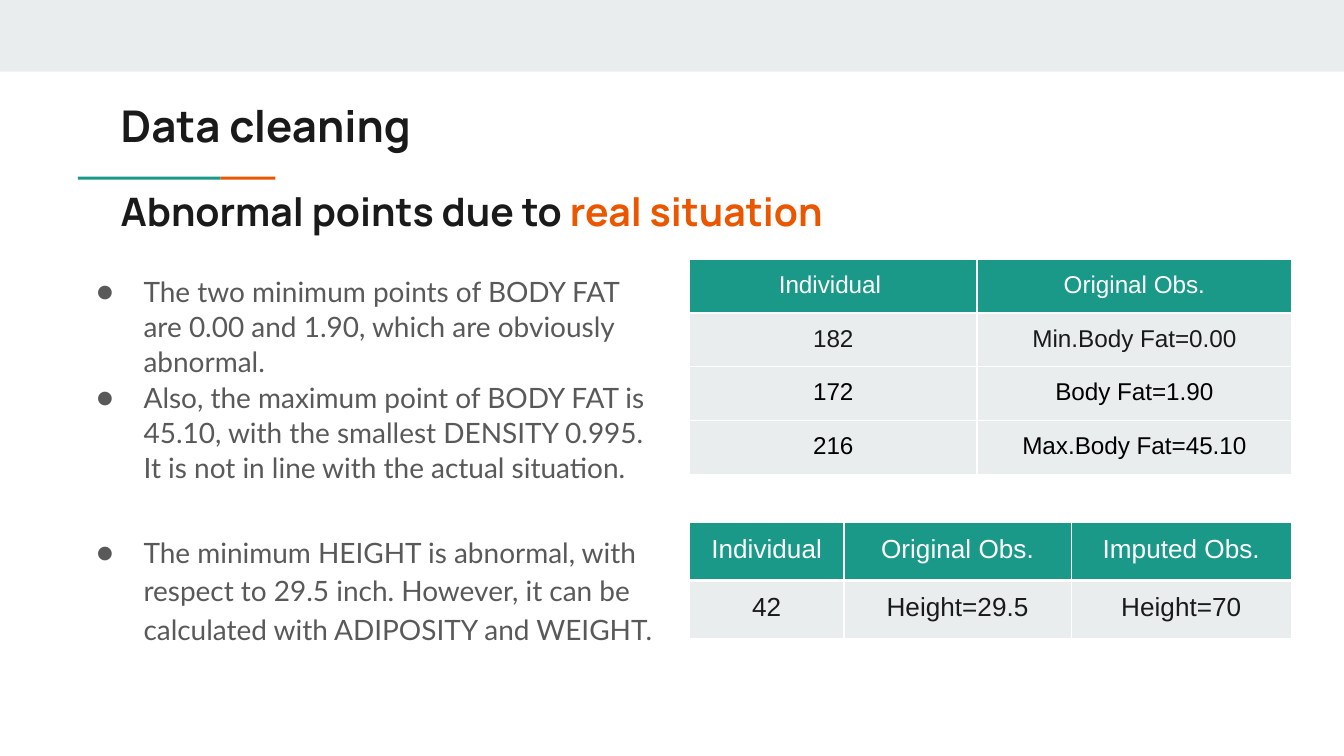
from lxml import etree
from pptx import Presentation
from pptx.dml.color import RGBColor
from pptx.enum.shapes import MSO_SHAPE
from pptx.enum.text import PP_ALIGN
from pptx.oxml.ns import qn
from pptx.util import Inches, Pt

RECTANGLE = MSO_SHAPE.RECTANGLE
CENTER = PP_ALIGN.CENTER
TEAL, ORANGE, MIST = "1A9988", "EB5600", "E9EDEE"
INK, GRAY, BLACK, WHITE = "1A1A1A", "595959", "000000", "FFFFFF"
HEADING_FONT, BODY_FONT, TABLE_FONT = "Manrope", "Lato", "Arial"
UNIT = 0.1


def color(value):
    return RGBColor.from_string(value)


def grid(*units):
    return [Inches(unit * UNIT) for unit in units]


class SlideBuilder:
    """Draws styled elements on a slide divided into 100 columns of a tenth of an inch."""

    def __init__(self, slide):
        self.slide = slide

    def bar(self, left, top, width, height, fill):
        shape = self.slide.shapes.add_shape(RECTANGLE, *grid(left, top, width, height))
        shape.shadow.inherit = False
        shape.fill.solid()
        shape.fill.fore_color.rgb = color(fill)
        shape.line.fill.background()

    def run(self, paragraph, text, font, size, ink, bold=False):
        run = paragraph.add_run()
        run.text = text
        run.font.name = font
        run.font.size = Pt(size)
        run.font.bold = bold
        run.font.color.rgb = color(ink)

    def frame(self, left, top, width, height):
        box = self.slide.shapes.add_textbox(*grid(left, top, width, height))
        frame = box.text_frame
        frame.word_wrap = True
        frame.margin_left = frame.margin_right = Inches(UNIT)
        frame.margin_top = frame.margin_bottom = Inches(UNIT)
        return frame

    def heading(self, left, top, width, height, size, parts):
        paragraph = self.frame(left, top, width, height).paragraphs[0]
        for text, ink in parts:
            self.run(paragraph, text, HEADING_FONT, size, ink, True)

    def bullets(self, left, top, width, height, spacing, items):
        frame = self.frame(left, top, width, height)
        for index, text in enumerate(items):
            paragraph = frame.add_paragraph() if index else frame.paragraphs[0]
            properties = paragraph._p.get_or_add_pPr()
            properties.set("marL", str(Inches(0.5)))
            properties.set("indent", str(Inches(-0.35)))
            paragraph.line_spacing = spacing
            bullet_color = etree.SubElement(properties, qn("a:buClr"))
            etree.SubElement(bullet_color, qn("a:srgbClr"), val=GRAY)
            etree.SubElement(properties, qn("a:buSzPts"), val="1500")
            etree.SubElement(properties, qn("a:buFont"), typeface=BODY_FONT)
            etree.SubElement(properties, qn("a:buChar"), char="●")
            self.run(paragraph, text, BODY_FONT, 15, GRAY)

    def borders(self, cell, row):
        properties = cell._tc.get_or_add_tcPr()
        widths = {"L": 0.75, "R": 0.75, "T": 1.5 if row == 1 else 0.75,
                  "B": 1.5 if row == 0 else 0.75}
        for index, (side, width) in enumerate(widths.items()):
            line = etree.Element(qn(f"a:ln{side}"), w=str(Pt(width)))
            fill = etree.SubElement(line, qn("a:solidFill"))
            etree.SubElement(fill, qn("a:srgbClr"), val=WHITE)
            properties.insert(index, line)

    def table(self, left, top, columns, row_height, size, rows, inks):
        shape = self.slide.shapes.add_table(
            len(rows), len(columns),
            *grid(left, top, sum(columns), row_height * len(rows)))
        table = shape.table
        for column, width in zip(table.columns, grid(*columns)):
            column.width = width
        for row_index, (texts, ink) in enumerate(zip(rows, inks)):
            table.rows[row_index].height = Inches(row_height * UNIT)
            for column_index, text in enumerate(texts):
                cell = table.cell(row_index, column_index)
                cell.margin_left = cell.margin_right = Inches(UNIT)
                cell.margin_top = cell.margin_bottom = Inches(0.09)
                cell.fill.solid()
                cell.fill.fore_color.rgb = color(MIST if row_index else TEAL)
                self.borders(cell, row_index)
                paragraph = cell.text_frame.paragraphs[0]
                paragraph.alignment = CENTER
                self.run(paragraph, text, TABLE_FONT, size, ink)


def main():
    presentation = Presentation()
    presentation.slide_width = Inches(10)
    presentation.slide_height = presentation.slide_width * 9 // 16
    builder = SlideBuilder(presentation.slides.add_slide(presentation.slide_layouts[6]))

    builder.bar(0, 0, 100, 5.33, MIST)
    builder.bar(16.4, 13.15, 4.1, 0.22, ORANGE)
    builder.bar(5.8, 13.15, 10.6, 0.22, TEAL)
    builder.bullets(4.7, 19.3, 44.9, 17.3, 1.05, [
        "The two minimum points of BODY FAT are 0.00 and 1.90, which are obviously abnormal.",
        "Also, the maximum point of BODY FAT is 45.10, with the smallest DENSITY 0.995. "
        "It is not in line with the actual situation.",
    ])
    builder.table(51.3, 19.3, [21.4, 23.4], 4, 13, [
        ("Individual ", "Original Obs."),
        ("182", "Min.Body Fat=0.00"),
        ("172", "Body Fat=1.90"),
        ("216", "Max.Body Fat=45.10"),
    ], [WHITE, INK, BLACK, BLACK])
    builder.heading(8, 6.35, 84.1, 5.9, 23.4, [("Data cleaning", INK)])
    builder.heading(8, 12.95, 78, 5.6, 21, [
        ("Abnormal points due to ", INK), ("real situation", ORANGE)])
    builder.bullets(4.7, 38.45, 45.4, 10.4, 1.15, [
        "The minimum HEIGHT is abnormal, with respect to 29.5 inch. "
        "However, it can be calculated with ADIPOSITY and WEIGHT.",
    ])
    builder.table(51.3, 38.9, [11.5, 16.9, 16.4], 4.3, 14, [
        ("Individual", "Original Obs.", "Imputed Obs."),
        ("42", "Height=29.5", "Height=70"),
    ], [WHITE, INK])
    presentation.save("out.pptx")


if __name__ == "__main__":
    main()
